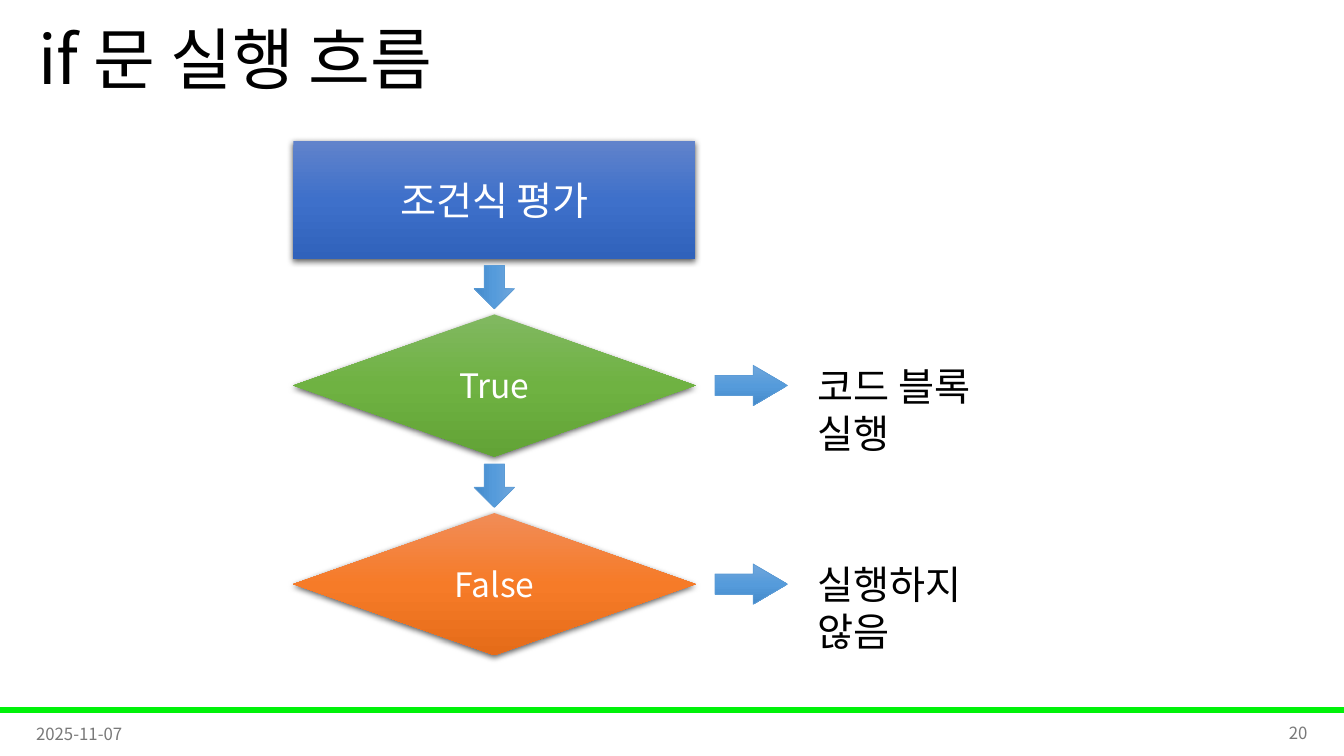
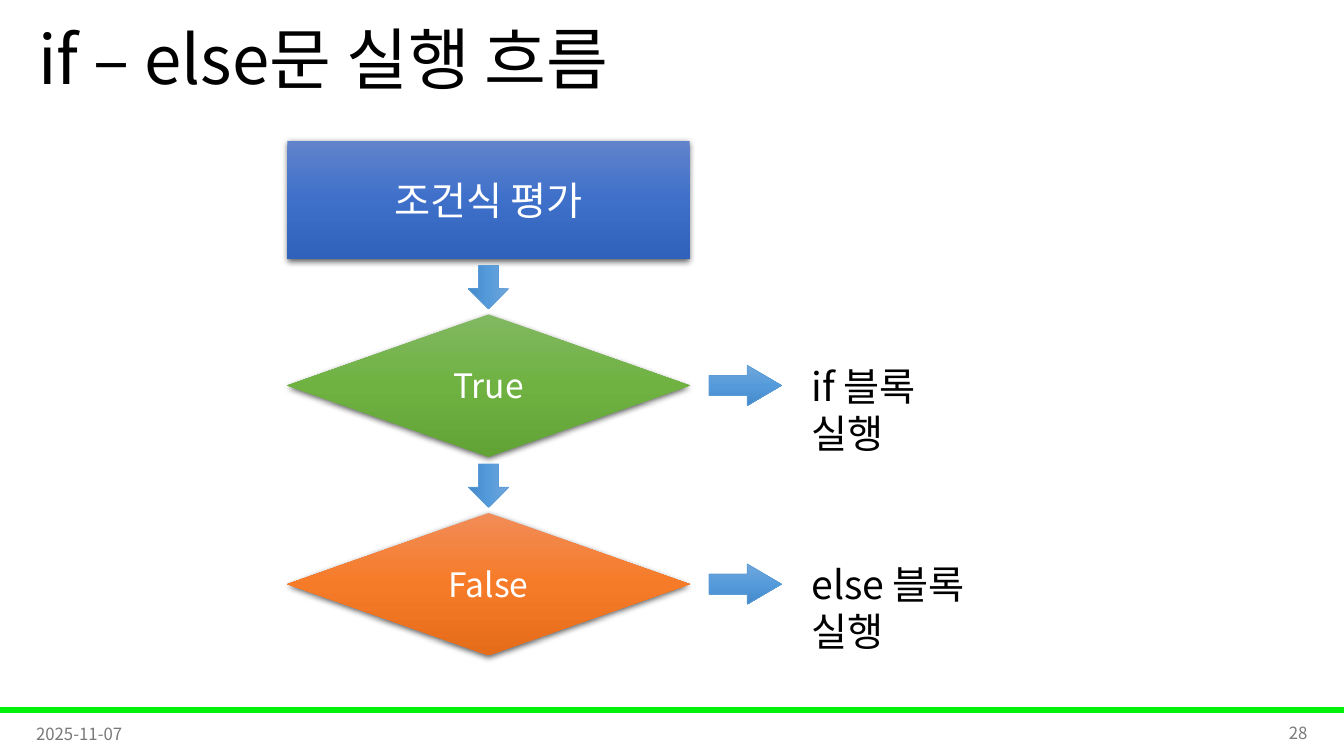
from lxml import etree
from pptx import Presentation
from pptx.dml.color import RGBColor
from pptx.enum import shapes as kinds, text as tx
from pptx.oxml.ns import qn
from pptx.util import Pt

FONT = "Noto Sans CJK KR"
BLACK, WHITE, GREY, BAND = "000000", "FFFFFF", "797979", "00F209"
BLUE = ("6183CB", "3E70CA", "3062BB")
GREEN = ("81B861", "6FB242", "62A336")
ORANGE = ("F18C57", "F67B28", "E56C19")
SKY = ("71A6DB", "559BDB", "448ACA")
EDGE = "5B9BD5"
KIND = kinds.MSO_SHAPE
LEFT, MID, RIGHT = tx.PP_ALIGN.LEFT, tx.PP_ALIGN.CENTER, tx.PP_ALIGN.RIGHT

WIDE = 287.3         # box and diamonds
HIGH = 101.5         # diamond height
FIRST, STEP = 224.6, 141.9  # top of the first diamond, pitch of the rows
THICK = 28.8         # arrow thickness


def write(shape, words, size, color, align, anchor=tx.MSO_ANCHOR.MIDDLE):
    frame = shape.text_frame
    frame.word_wrap = True
    frame.vertical_anchor = anchor
    para = frame.paragraphs[0]
    para.alignment = align
    run = para.add_run()
    run.text = words
    font = run.font
    font.size = Pt(size)
    font.color.rgb = RGBColor.from_string(color)
    font.name = FONT
    etree.SubElement(font._element, qn("a:ea"), typeface=FONT)
    return para


def draw(slide, kind, x, y, w, h, tones, shade=False):
    """Add a shape with a three-stop gradient, and a soft shadow if shade is set."""
    shape = slide.shapes.add_shape(kind, Pt(x), Pt(y), Pt(w), Pt(h))
    shape.fill.gradient()
    shape.fill.gradient_angle = 270
    stops = shape.element.spPr.find(".//" + qn("a:gsLst"))
    for stop in list(stops):
        stops.remove(stop)
    for pos, tone in zip((0, 50000, 100000), tones):
        stop = etree.SubElement(stops, qn("a:gs"), pos=str(pos))
        etree.SubElement(stop, qn("a:srgbClr"), val=tone)
    shape.shadow.inherit = False
    if shade:
        shape.line.fill.background()
        glow = etree.SubElement(
            shape.element.spPr.find(qn("a:effectLst")), qn("a:outerShdw"),
            blurRad=str(Pt(4.5)), dist=str(Pt(1.5)), dir="5400000",
            algn="ctr", rotWithShape="0")
        black = etree.SubElement(glow, qn("a:srgbClr"), val=BLACK)
        etree.SubElement(black, qn("a:alpha"), val="63000")
    else:
        shape.line.color.rgb = RGBColor.from_string(EDGE)
        shape.line.width = Pt(0.5)
    return shape


deck = Presentation()
deck.slide_width, deck.slide_height = Pt(960), Pt(540)

pages = [
    ("if 문 실행 흐름", "20", 209.5, ("코드 블록 실행", "실행하지 않음")),
    ("if – else문 실행 흐름", "28", 205.3, ("if 블록 실행", "else 블록 실행")),
]

for head, num, left, ends in pages:
    slide = deck.slides.add_slide(deck.slide_layouts[5])

    # Title, band and footer
    title = slide.shapes.title
    title.left, title.top = Pt(20), Pt(0)
    title.width, title.height = Pt(828), Pt(90)
    write(title, head, 48, BLACK, LEFT).line_spacing = 0.9

    band = slide.shapes.add_shape(KIND.RECTANGLE, Pt(0), Pt(505.4), Pt(960), Pt(3.6))
    band.fill.solid()
    band.fill.fore_color.rgb = RGBColor.from_string(BAND)
    band.line.color.rgb = RGBColor.from_string(BAND)
    band.line.width = Pt(1)
    band.shadow.inherit = False

    for x, y, words, align in ((18.7, 509.8, "2025-11-07", LEFT), (725, 509, num, RIGHT)):
        foot = slide.shapes.add_textbox(Pt(x), Pt(y), Pt(216), Pt(28.8))
        write(foot, words, 12, GREY, align)

    # Flow: the test on top, one row for each outcome
    test = draw(slide, KIND.RECTANGLE, left, 100.8, WIDE, 84.2, BLUE, shade=True)
    write(test, "조건식 평가", 28, WHITE, MID)

    rows = zip(("True", "False"), (GREEN, ORANGE), ends)
    for i, (word, tones, end) in enumerate(rows):
        top = FIRST + i * STEP
        mid = top + HIGH / 2

        down = draw(slide, KIND.RIGHT_ARROW, left + WIDE / 2 - 15.5,
                    top - 19.5 - THICK / 2, 31, THICK, SKY)
        down.rotation = 90

        case = draw(slide, KIND.DIAMOND, left, top, WIDE, HIGH, tones, shade=True)
        write(case, word, 24, WHITE, MID)

        out = draw(slide, KIND.RIGHT_ARROW, left + 301.2, mid - THICK / 2, 51.8, THICK, SKY)
        out.adjustments[1] = 0.85

        label = slide.shapes.add_textbox(Pt(left + 367.2), Pt(mid - 20.4), Pt(144), Pt(41))
        write(label, end, 28, BLACK, LEFT, tx.MSO_ANCHOR.TOP)

deck.save("out.pptx")
